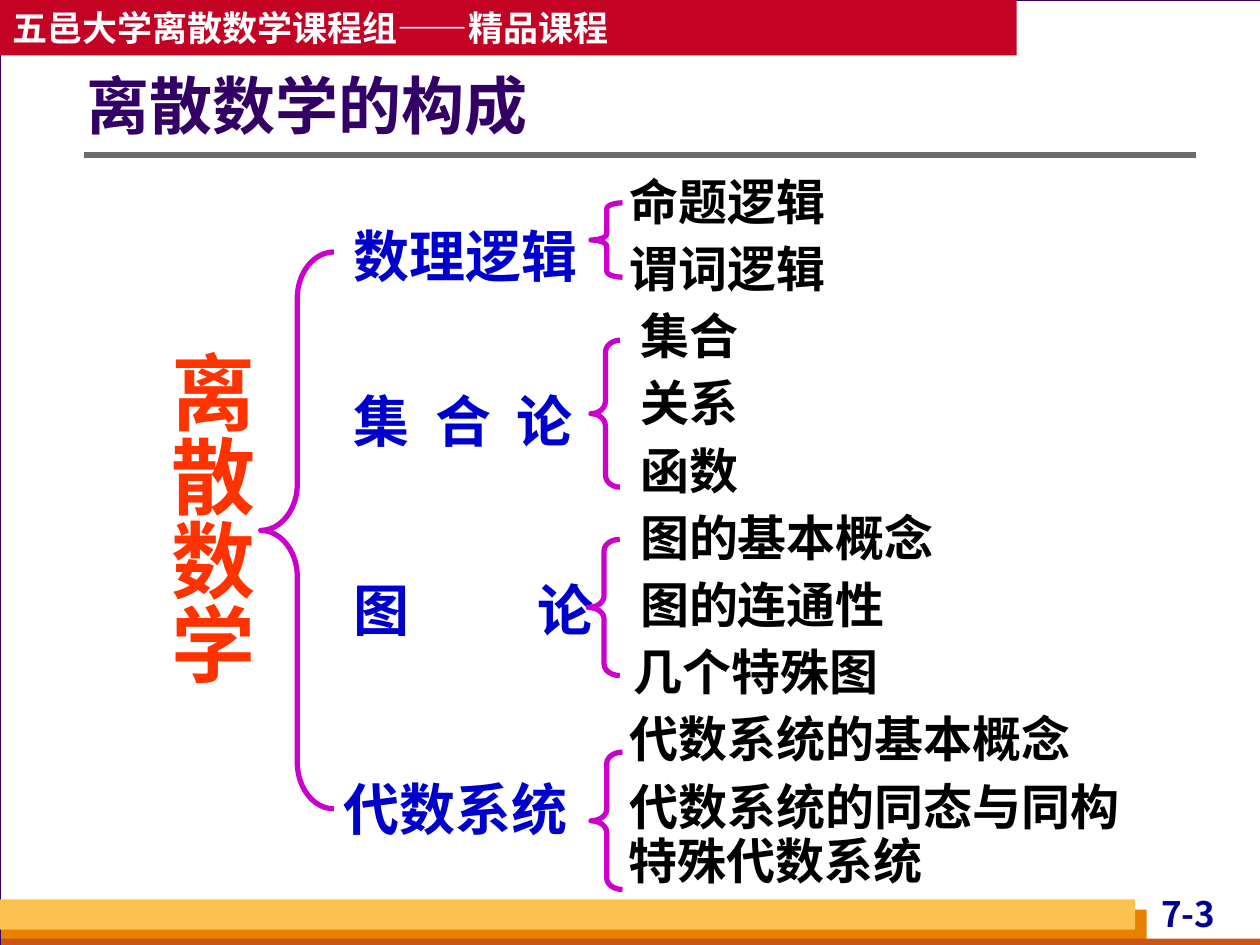
"""Build the slide that maps the parts of discrete mathematics."""
from pptx import Presentation
from pptx.dml.color import RGBColor
from pptx.enum.shapes import MSO_CONNECTOR as CONN, MSO_SHAPE as SHAPE
from pptx.enum.text import MSO_ANCHOR as ANCHOR, PP_ALIGN as ALIGN
from pptx.oxml.ns import qn
from pptx.util import Pt

COLORS = {
    "back": "D8DADA", "white": "FFFFFF", "frame": "330066", "banner": "C30224",
    "orange": "E88000", "rust": "C95616", "gold": "FCC24F", "rule": "6B6B6B",
    "page": "000099", "root": "FF3300", "branch": "0000CC", "brace": "CC00CC",
    "leaf": "000000",
}
NOTO, ROBOTO = "Noto Sans CJK SC", "Roboto Condensed"

BARS = [
    ("white", (0, 0, 720.72, 540)),
    ("banner", (0, 0, 581, 31.7)),
    ("orange", (0.7, 519.8, 654.5, 20.2)),
    ("rust", (0.7, 536.4, 720, 5.8)),
    ("gold", (0, 514, 648.7, 17.3)),
]
ROOT_BRACE = (149, 144, 41.8, 318.2)
BRANCHES = [
    {"label": "数理逻辑", "box": (195.1, 115.2, 172.8, 53.3),
     "format": {"font": NOTO, "spacing": 1.2, "align": ALIGN.JUSTIFY},
     "brace": (337.7, 115.9, 18, 42.5),
     "leaves": [("命题逻辑", 360), ("谓词逻辑", 360)]},
    {"label": "集\t合\t论", "box": (195.1, 217.4, 151.9, 46),
     "format": {"tabs": (46.5, 93)},
     "brace": (337.7, 194.4, 16.6, 84),
     "leaves": [("集合", 365.8), ("关系", 365.8), ("函数", 365.8)]},
    {"label": "图\t论", "box": (195.1, 325.4, 158.4, 46),
     "format": {"tabs": (105,)},
     "brace": (336.2, 308.2, 18, 77.8),
     "leaves": [("图的基本概念", 365.8), ("图的连通性", 365.8), ("几个特殊图", 362.2)]},
    {"label": "代数系统", "box": (189.4, 439.2, 178.6, 46),
     "format": {},
     "brace": (337.7, 429.8, 18, 78.5),
     "leaves": [("代数系统的基本概念", 360), ("代数系统的同态与同构", 360),
                ("特殊代数系统", 359.3)]},
]
LEAF_TOP, LEAF_STEP, LAST_LEAF_TOP = 97.9, 38.4, 474.5


def rgb(name):
    return RGBColor.from_string(COLORS[name])


def add_text(s, text, box, *, size, color, font=ROBOTO, align=ALIGN.LEFT,
             anchor=ANCHOR.TOP, insets=(0, 0, 0, 0), spacing=None, tabs=(),
             vertical=False, wrap=True):
    tf = s.shapes.add_textbox(*map(Pt, box)).text_frame
    tf.word_wrap, tf.vertical_anchor = wrap, anchor
    tf.margin_left, tf.margin_top, tf.margin_right, tf.margin_bottom = map(Pt, insets)
    if vertical:
        tf._txBody.bodyPr.set("vert", "eaVert")
    p = tf.paragraphs[0]
    p.alignment = align
    if spacing:
        p.line_spacing = spacing
    if tabs:
        stops = p._p.get_or_add_pPr().makeelement(qn("a:tabLst"), {})
        p._p.pPr.append(stops)
        for pos in tabs:
            stops.append(stops.makeelement(qn("a:tab"), {"pos": str(Pt(pos)), "algn": "l"}))
    r = p.add_run()
    r.text = text
    r.font.size, r.font.bold, r.font.name = Pt(size), True, font
    r.font.color.rgb = rgb(color)
    rPr = r.font._element
    rPr.append(rPr.makeelement(qn("a:ea"), {"typeface": font}))


def add_bar(s, color, box):
    sp = s.shapes.add_shape(SHAPE.RECTANGLE, *map(Pt, box))
    sp.shadow.inherit = False
    sp.fill.solid()
    sp.fill.fore_color.rgb = rgb(color)
    sp.line.fill.background()
    return sp


def add_brace(s, box):
    sp = s.shapes.add_shape(SHAPE.LEFT_BRACE, *map(Pt, box))
    sp.shadow.inherit = False
    sp.adjustments[0] = box[3] / 12 / min(box[2:])
    sp.fill.background()
    sp.line.color.rgb = rgb("brace")
    sp.line.width = Pt(3)


def add_frame(s):
    page, *bars = [add_bar(s, *bar) for bar in BARS]
    page.line.color.rgb = rgb("frame")
    page.line.width = Pt(0.75)
    rule = s.shapes.add_connector(CONN.STRAIGHT, Pt(48.2), Pt(88.6), Pt(683.3), Pt(88.6))
    rule.line.color.rgb = rgb("rule")
    rule.line.width = Pt(3)
    spPr = rule._element.spPr
    spPr.append(spPr.makeelement(qn("a:effectLst"), {}))
    add_text(s, "五邑大学离散数学课程组——精品课程", BARS[1][1], size=20, color="white",
             font=NOTO, anchor=ANCHOR.MIDDLE, insets=(7.2, 3.6, 7.2, 3.6), wrap=False)
    add_text(s, "7-3", (643.7, 509.8, 70.6, 27.4), size=20, color="page", font=NOTO,
             align=ALIGN.CENTER, insets=(2.9, 0, 2.9, 0))
    add_text(s, "离散数学的构成", (49.7, 33.8, 595.4, 56.9), size=36, color="frame",
             font=NOTO, anchor=ANCHOR.MIDDLE, insets=(0, 3.6, 7.2, 3.6), spacing=0.9)


def add_tree(s):
    add_text(s, "离散数学", (90.7, 200.2, 51.8, 218.9), size=48, color="root", font=NOTO,
             align=ALIGN.JUSTIFY, spacing=0.9, vertical=True)
    add_brace(s, ROOT_BRACE)
    leaves = []
    for branch in BRANCHES:
        add_text(s, branch["label"], branch["box"], size=32, color="branch",
                 insets=(7.2, 3.6, 7.2, 3.6), **branch["format"])
        add_brace(s, branch["brace"])
        leaves += branch["leaves"]
    for i, (text, left) in enumerate(leaves):
        top = min(LEAF_TOP + i * LEAF_STEP, LAST_LEAF_TOP)
        add_text(s, text, (left, top, 294, 33.8), size=28, color="leaf")


def main():
    prs = Presentation()
    prs.slide_width, prs.slide_height = Pt(720), Pt(540)
    s = prs.slides.add_slide(prs.slide_layouts[6])
    s.background.fill.solid()
    s.background.fill.fore_color.rgb = rgb("back")
    add_frame(s)
    add_tree(s)
    prs.save("out.pptx")


if __name__ == "__main__":
    main()
